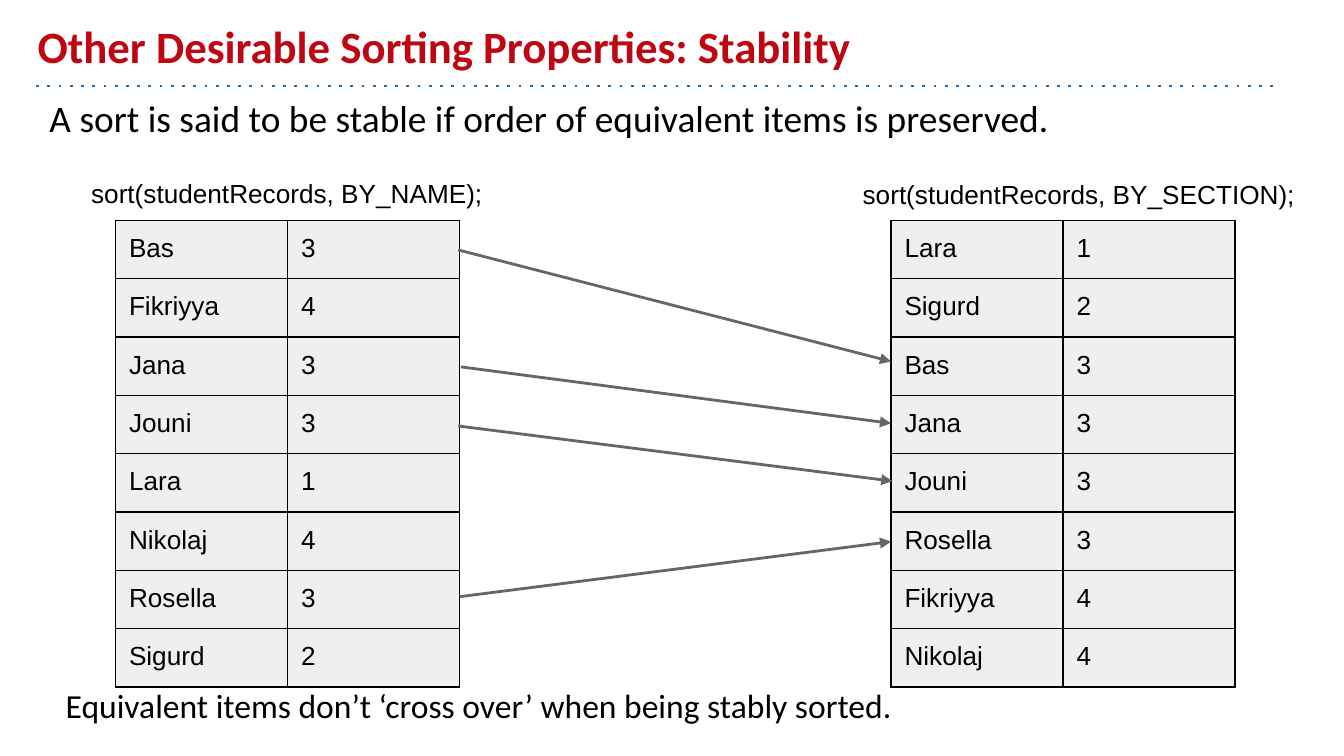
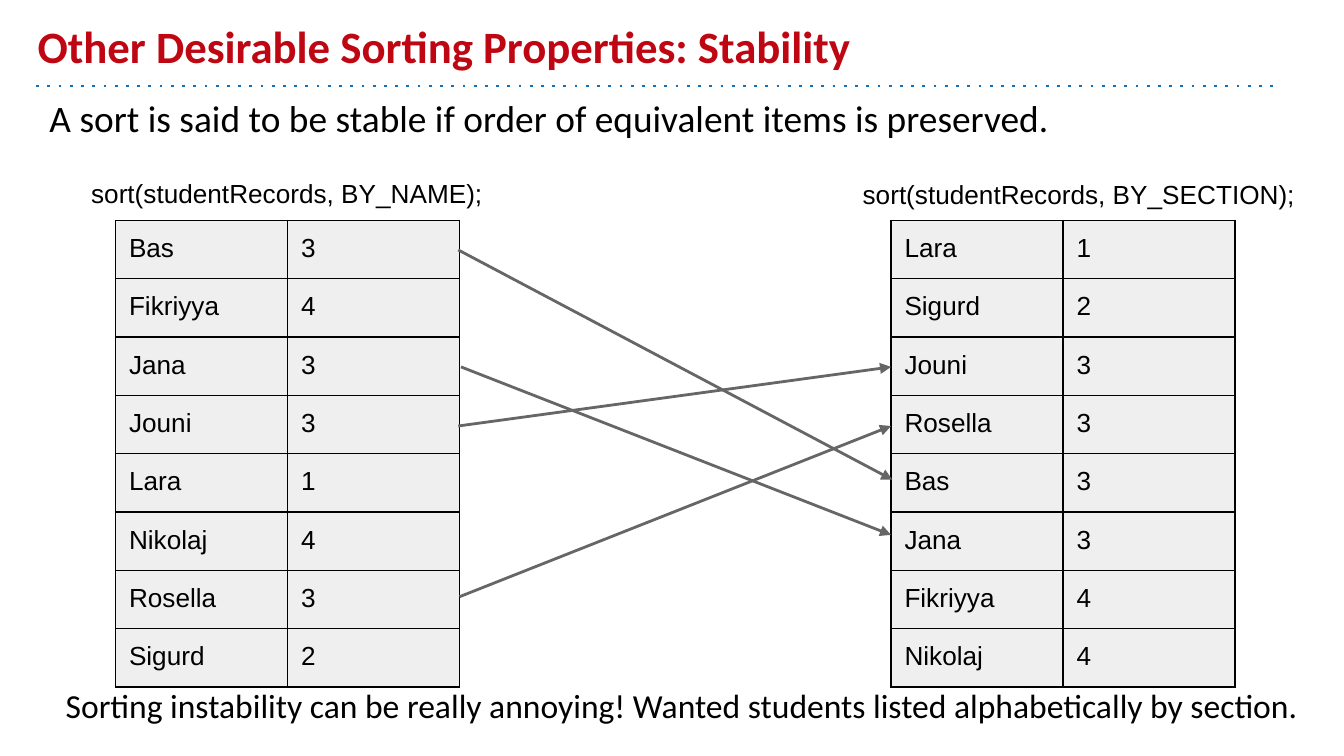
from lxml.etree import SubElement
from pptx import Presentation
from pptx.dml.color import RGBColor
from pptx.enum.shapes import MSO_CONNECTOR
from pptx.enum.text import MSO_ANCHOR, MSO_AUTO_SIZE, PP_ALIGN
from pptx.oxml.ns import qn
from pptx.util import Inches, Pt

THEME = {
    "title": {"name": "Calibri", "size": Pt(24), "bold": True, "color": "BE0712"},
    "body": {"name": "Calibri", "size": Pt(20), "color": "000000"},
    "closing": {"name": "Calibri", "size": Pt(18), "color": "000000"},
    "code": {"name": "Arial", "size": Pt(14), "color": "000000"},
    "rule": "1072BD",
    "arrow": "666666",
    "cell": "EFEFEF",
    "border": "000000",
    "line_width": Pt(1.5),
    "border_width": Pt(0.75),
    "inset": Inches(0.1),
}

TITLE = "Other Desirable Sorting Properties: Stability"
DEFINITION = "A sort is said to be stable if order of equivalent items is preserved."
SECTIONS = {"Bas": 3, "Fikriyya": 4, "Jana": 3, "Jouni": 3,
            "Lara": 1, "Nikolaj": 4, "Rosella": 3, "Sigurd": 2}
ARROW_STARTS = {"Jana": (3.43, 2.73), "Jouni": (3.41, 3.17),
                "Rosella": (3.42, 4.44), "Bas": (3.41, 1.86)}
TABLE_TOP, TABLE_SIZE, COLUMN_WIDTH = 1.64, 3.28, 1.28
FIRST_ROW_HEIGHT, ROW_HEIGHT = 0.41, 0.39

SORTS = [
    {
        "order": ["Lara", "Sigurd", "Bas", "Jana", "Jouni", "Rosella", "Fikriyya", "Nikolaj"],
        "arrow_ends": {"Jana": (6.63, 3.15), "Jouni": (6.64, 3.58),
                       "Rosella": (6.63, 4.03), "Bas": (6.63, 2.69)},
        "closing": "Equivalent items don’t ‘cross over’ when being stably sorted.",
    },
    {
        "order": ["Lara", "Sigurd", "Jouni", "Rosella", "Bas", "Jana", "Fikriyya", "Nikolaj"],
        "arrow_ends": {"Jana": (6.63, 3.98), "Jouni": (6.63, 2.73),
                       "Rosella": (6.63, 3.17), "Bas": (6.64, 3.57)},
        "closing": "Sorting instability can be really annoying! "
                   "Wanted students listed alphabetically by section.",
    },
]


def write_text(holder, text, style):
    """Write one styled paragraph into a text frame or table cell."""
    for side in ("left", "top", "right", "bottom"):
        setattr(holder, f"margin_{side}", THEME["inset"])
    holder.word_wrap = True
    frame = getattr(holder, "text_frame", holder)
    para = frame.paragraphs[0]
    para.alignment = PP_ALIGN.LEFT
    span = para.add_run()
    span.text = text
    for name, value in THEME[style].items():
        if name == "color":
            span.font.color.rgb = RGBColor.from_string(value)
        else:
            setattr(span.font, name, value)


def draw_line(page, start, end, color, ending, value):
    """Draw a line whose dash or arrowhead is the given child element of a:ln."""
    line = page.shapes.add_connector(
        MSO_CONNECTOR.STRAIGHT, *[Inches(length) for length in (*start, *end)])
    line.line.color.rgb = RGBColor.from_string(color)
    line.line.width = THEME["line_width"]
    properties = line._element.spPr
    SubElement(properties.find(qn("a:ln")), qn(f"a:{ending}")).attrib.update(value)
    SubElement(properties, qn("a:effectLst"))
    return line


deck = Presentation()
deck.slide_width = Inches(10)
deck.slide_height = deck.slide_width * 9 // 16
layout = deck.slide_layouts[5]

for number, sort in enumerate(SORTS):
    page = deck.slides.add_slide(layout)
    if number == 0:
        # The layout carries the rule under the title for every slide.
        rule = draw_line(page, (0.27, 0.64), (9.5, 0.64), THEME["rule"],
                         "prstDash", {"val": "dot"})
        layout.shapes._spTree.append(rule._element)

    title = page.shapes.title
    title.left, title.top, title.width, title.height = [
        Inches(length) for length in (0.18, 0.1, 9, 0.54)]
    title.text_frame.auto_size = MSO_AUTO_SIZE.NONE
    title.text_frame.vertical_anchor = MSO_ANCHOR.BOTTOM
    write_text(title.text_frame, TITLE, "title")

    for place, text, style in [
        ((0.27, 0.61, 9.43, 4.54), DEFINITION, "body"),
        ((0.58, 1.22, 3.3, 0.33), "sort(studentRecords, BY_NAME);", "code"),
        ((6.32, 1.23, 3.68, 0.33), "sort(studentRecords, BY_SECTION);", "code"),
        ((0.39, 5, 9.61, 0.54), sort["closing"], "closing"),
    ]:
        box = page.shapes.add_textbox(*[Inches(length) for length in place])
        write_text(box.text_frame, text, style)

    for left, students in [(0.86, list(SECTIONS)), (6.63, sort["order"])]:
        frame = page.shapes.add_table(
            len(students), 2, Inches(left), Inches(TABLE_TOP),
            Inches(TABLE_SIZE), Inches(TABLE_SIZE))
        table = frame.table
        table.first_row = table.horz_banding = False
        for column in table.columns:
            column.width = Inches(COLUMN_WIDTH)
        for row, student in enumerate(students):
            table.rows[row].height = Inches(ROW_HEIGHT if row else FIRST_ROW_HEIGHT)
            for column, text in enumerate((student, str(SECTIONS[student]))):
                cell = table.cell(row, column)
                write_text(cell, text, "code")
                for edge in ("lnL", "lnR", "lnT", "lnB"):
                    border = SubElement(cell._tc.get_or_add_tcPr(), qn(f"a:{edge}"),
                                        w=str(THEME["border_width"]))
                    paint = SubElement(border, qn("a:solidFill"))
                    SubElement(paint, qn("a:srgbClr"), val=THEME["border"])
                cell.fill.solid()
                cell.fill.fore_color.rgb = RGBColor.from_string(THEME["cell"])
        frame.width = frame.height = Inches(TABLE_SIZE)

    for student, start in ARROW_STARTS.items():
        draw_line(page, start, sort["arrow_ends"][student], THEME["arrow"],
                  "tailEnd", {"type": "triangle"})

deck.save("out.pptx")
